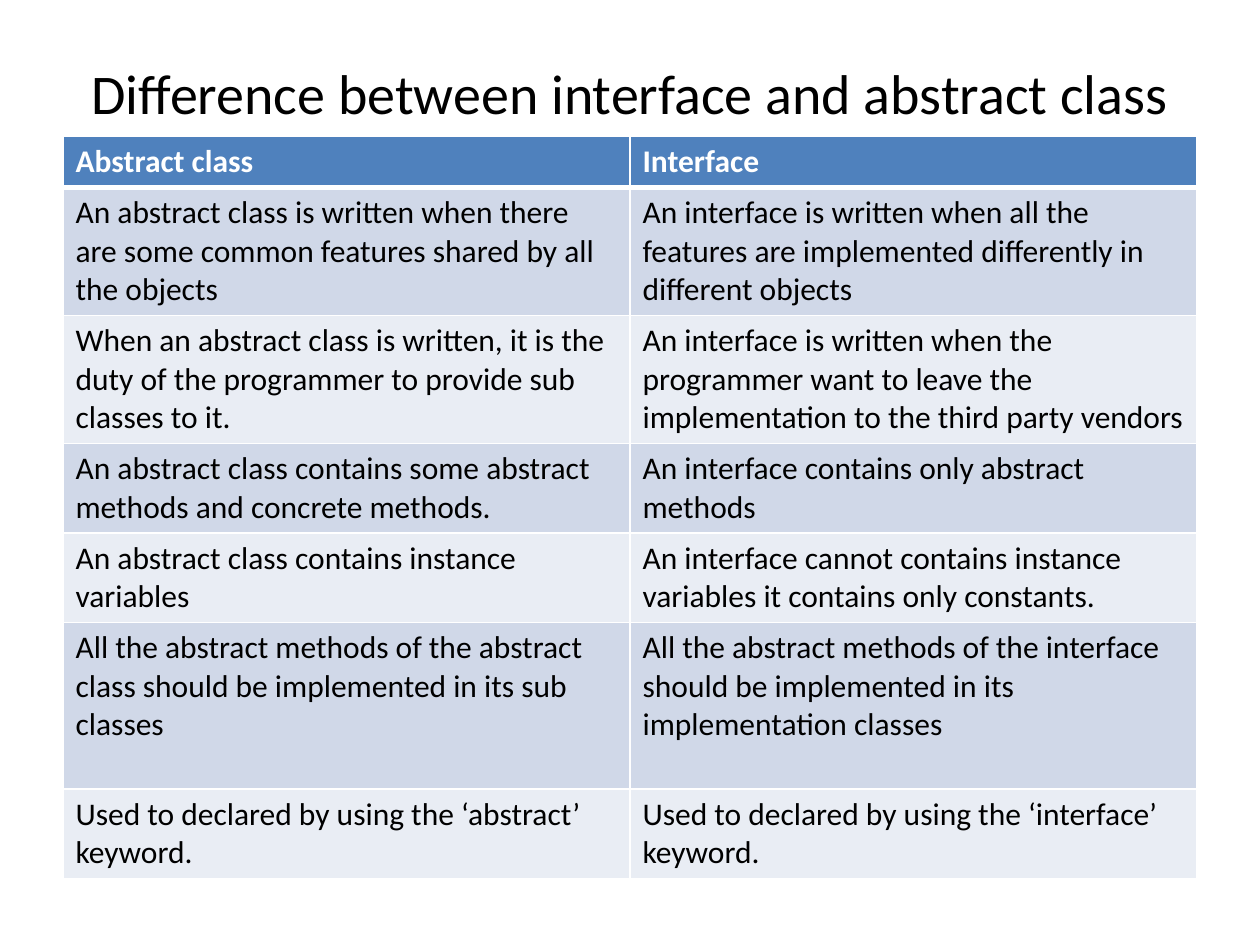
"""Build a slide that compares abstract classes with interfaces in a table."""
from lxml.etree import SubElement
from pptx import Presentation
from pptx.dml.color import RGBColor
from pptx.enum.text import MSO_ANCHOR, PP_ALIGN
from pptx.oxml.ns import qn
from pptx.util import Cm, Pt

BLACK = RGBColor(0x00, 0x00, 0x00)
WHITE = RGBColor(0xFF, 0xFF, 0xFF)
BLUE = RGBColor(0x4F, 0x81, 0xBD)
DARK = RGBColor(0xD0, 0xD8, 0xE8)
LIGHT = RGBColor(0xE9, 0xED, 0xF4)
FONT = "Calibri"

ROWS = [
    (1.03, "Abstract class", "Interface"),
    (2.58, "An abstract class is written when there are some common features shared by all the objects",
     "An interface is written when all the features are implemented differently in different objects"),
    (2.58, "When an abstract class is written, it is the duty of the programmer to provide sub classes to it.",
     "An interface is written when the programmer want to leave the implementation to the third party vendors"),
    (1.8, "An abstract class contains some abstract methods and concrete methods.",
     "An interface contains only abstract methods"),
    (1.8, "An abstract class contains instance variables",
     "An interface cannot contains instance variables it contains only constants."),
    (3.36, "All the abstract methods of the abstract class should be implemented in its sub classes",
     "All the abstract methods of the interface should be implemented in its implementation classes"),
    (1.8, "Used to declared by using the ‘abstract’ keyword.",
     "Used to declared by using the ‘interface’ keyword."),
]


def style(text, size, color, bold=False):
    for run in text.paragraphs[0].runs:
        run.font.name = FONT
        run.font.size = Pt(size)
        run.font.bold = bold
        run.font.color.rgb = color


def border(cell, widths):
    props = cell._tc.get_or_add_tcPr()
    for side, width in widths.items():
        line = SubElement(props, qn(f"a:ln{side}"), w=str(Pt(width)))
        fill = SubElement(line, qn("a:solidFill"))
        SubElement(fill, qn("a:srgbClr"), val=str(WHITE))


deck = Presentation()
deck.slide_width, deck.slide_height = Cm(25.4), Cm(19.05)
slide = deck.slides.add_slide(deck.slide_layouts[5])

title = slide.shapes.title
title.left, title.top, title.width, title.height = Cm(1.27), Cm(0.76), Cm(22.86), Cm(2.21)
title.text_frame.text = "Difference between interface and abstract class"
title.text_frame.vertical_anchor = MSO_ANCHOR.MIDDLE
title.text_frame.paragraphs[0].alignment = PP_ALIGN.CENTER
style(title.text_frame, 32, BLACK)

total = sum(row[0] for row in ROWS)
frame = slide.shapes.add_table(len(ROWS), 2, Cm(1.27), Cm(2.75), Cm(22.86), Cm(total))
table = frame.table

for i, (height, *texts) in enumerate(ROWS):
    table.rows[i].height = Cm(height)
    head = i == 0
    shade = BLUE if head else DARK if i % 2 else LIGHT
    for cell, text in zip(table.rows[i].cells, texts):
        cell.text_frame.text = text
        style(cell.text_frame, 18, WHITE if head else BLACK, head)
        border(cell, {"L": 1, "R": 1, "T": 3 if i == 1 else 1, "B": 3 if head else 1})
        cell.fill.solid()
        cell.fill.fore_color.rgb = shade

deck.save("out.pptx")
